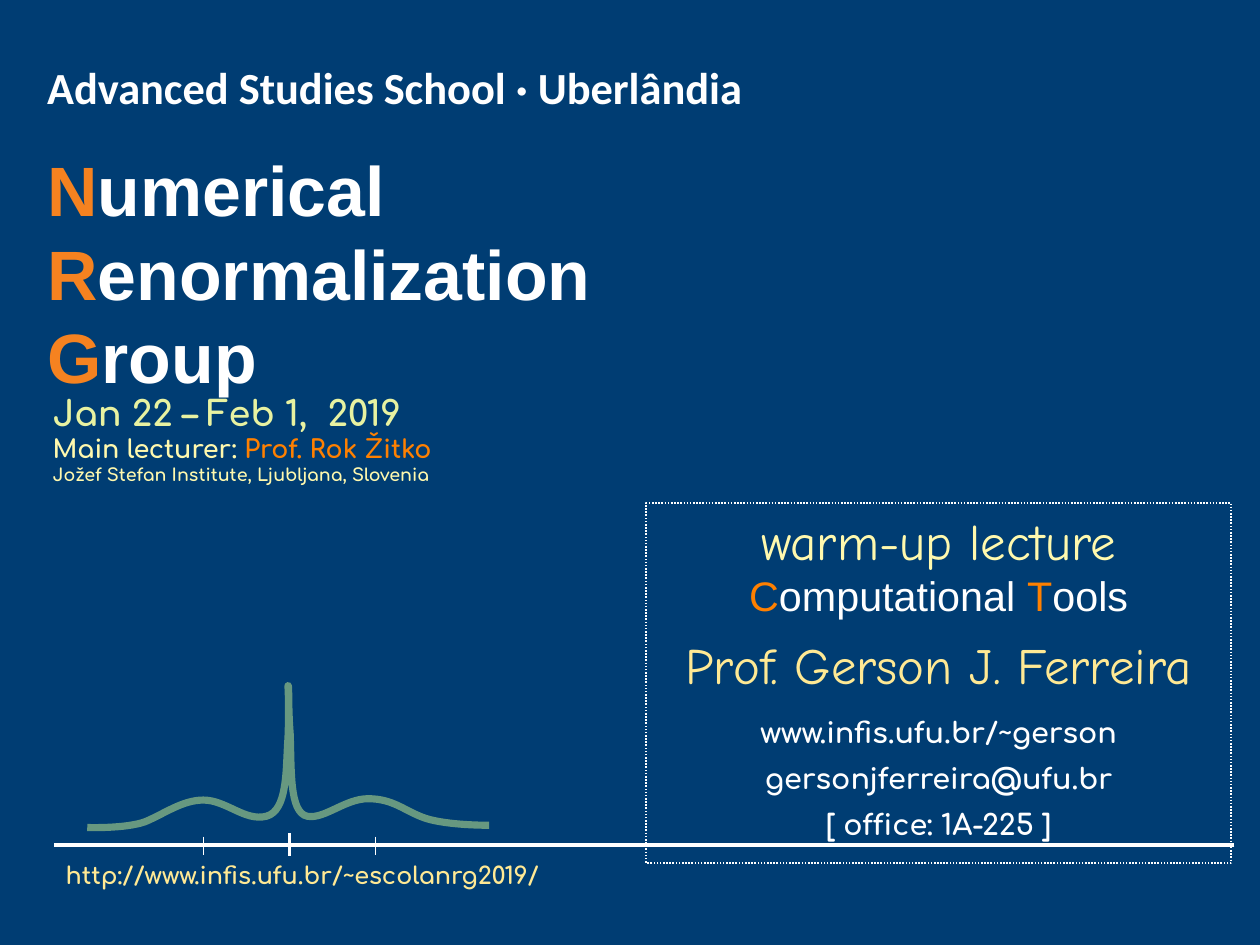
import pptx
import pptx.util
import pptx.dml.color
import pptx.enum.dml
import pptx.enum.shapes
import pptx.enum.text
import lxml.etree

Cm, Pt = pptx.util.Cm, pptx.util.Pt
ALIGN, ANCHOR = pptx.enum.text.PP_ALIGN, pptx.enum.text.MSO_ANCHOR
A = "{http://schemas.openxmlformats.org/drawingml/2006/main}"
WHITE, ORANGE, TITLE_ORANGE = "FFFFFF", "FF8000", "F58220"
YELLOW, CREAM, LIME, GREEN = "FFE994", "FFF9AE", "E8F2A1", "ADD58A"


def rgb(color):
    return pptx.dml.color.RGBColor.from_string(color)


def write(tf, lines, align=ALIGN.LEFT, wrap=True):
    """Each line is (size, font, bold, [(text, color), ...])."""
    tf.word_wrap = wrap
    tf.auto_size = pptx.enum.text.MSO_AUTO_SIZE.NONE
    for i, (size, font, bold, runs) in enumerate(lines):
        p = tf.paragraphs[0] if i == 0 else tf.add_paragraph()
        p.alignment = align
        for text, color in runs:
            r = p.add_run()
            r.text = text
            r.font.size, r.font.name, r.font.bold = Pt(size), font, bold
            r.font.color.rgb = rgb(color)


prs = pptx.Presentation()
prs.slide_width, prs.slide_height = Cm(28), Cm(21)
s = prs.slides.add_slide(prs.slide_layouts[5])
s.background.fill.solid()
s.background.fill.fore_color.rgb = rgb("003D73")

# Title
title = s.shapes.title
title.left, title.top, title.width, title.height = Cm(0.8), Cm(3.13), Cm(22.53), Cm(6.6)
title.text_frame.vertical_anchor = ANCHOR.TOP
write(title.text_frame,
      [(44, "Arial", True, [(word[0], TITLE_ORANGE), (word[1:], WHITE)])
       for word in ("Numerical", "Renormalization", "Group")], wrap=False)

# School, dates and web address
text_boxes = [
    (0.8, 1.21, 21.77, 1.7,
     [(28, "Calibri", True, [("Advanced Studies School · Uberlândia", WHITE)])]),
    (1.21, 19, 11.02, 1.12,
     [(15, "Comfortaa", True, [("http://www.infis.ufu.br/~escolanrg2019/", YELLOW)])]),
    (0.92, 8.57, 9.6, 3.28,
     [(22, "Comfortaa", True, [("Jan 22 – Feb 1,  2019", LIME)]),
      (16, "Comfortaa", True, [("Main lecturer: ", CREAM), ("Prof. Rok Žitko", ORANGE)]),
      (11, "Comfortaa", True, [("Jožef Stefan Institute, Ljubljana, Slovenia", CREAM)])]),
]
for x, y, w, h, lines in text_boxes:
    sp = s.shapes.add_textbox(Cm(x), Cm(y), Cm(w), Cm(h))
    write(sp.text_frame, lines)

# Spectral curve: Bezier segments (two controls, end point) in cm
start = (1.94, 18.39)
segments = [
    ((1.94, 18.39), (2.79, 18.42), (3.23, 18.26)),
    ((3.66, 18.08), (4.06, 17.78), (4.52, 17.78)),
    ((5.03, 17.78), (5.44, 18.26), (5.92, 18.14)),
    ((6.4, 18.01), (6.35, 17.09), (6.4, 16.41)),
    ((6.43, 15.7), (6.4, 15.27), (6.4, 15.24)),
    ((6.43, 15.16), (6.4, 15.7), (6.45, 16.31)),
    ((6.48, 17.12), (6.43, 18.06), (6.83, 18.14)),
    ((7.21, 18.21), (7.67, 17.75), (8.18, 17.75)),
    ((8.76, 17.75), (8.99, 18.03), (9.47, 18.19)),
    ((9.96, 18.34), (10.77, 18.34), (10.87, 18.34)),
]
builder = s.shapes.build_freeform(Cm(start[0]), Cm(start[1]))
builder.add_line_segments([(Cm(x), Cm(y)) for _, _, (x, y) in segments], close=False)
curve = builder.convert_to_shape()
curve.shadow.inherit = False
curve.fill.background()
curve.line.width = Pt(4.5)
curve.line.color.rgb = rgb(GREEN)
ln = curve.line._get_or_add_ln()
lxml.etree.SubElement(ln.find(f"{A}solidFill/{A}srgbClr"), f"{A}alpha", val="60000")
lxml.etree.SubElement(ln, f"{A}round")

# Turn the straight segments into Bezier ones
for straight, segment in zip(list(curve._element.iter(f"{A}lnTo")), segments):
    bezier = lxml.etree.Element(f"{A}cubicBezTo")
    for x, y in segment:
        lxml.etree.SubElement(bezier, f"{A}pt", x=str(Cm(x) - curve.left), y=str(Cm(y) - curve.top))
    straight.getparent().replace(straight, bezier)

# Axis and its ticks
axis_lines = [
    (6.43, 18.52, 6.43, 19.02, 1.5),
    (27.43, 18.78, 1.19, 18.78, 2.3),
    (8.34, 18.59, 8.34, 19, 0.1),
    (4.52, 18.59, 4.52, 19, 0.1),
]
for x1, y1, x2, y2, width in axis_lines:
    line = s.shapes.add_connector(pptx.enum.shapes.MSO_CONNECTOR.STRAIGHT,
                                  Cm(x1), Cm(y1), Cm(x2), Cm(y2))
    line.line.color.rgb = rgb(WHITE)
    line.line.width = Pt(width)
    lxml.etree.SubElement(line._element.spPr, f"{A}effectLst")

# Warm-up lecture box
box = s.shapes.add_shape(pptx.enum.shapes.MSO_SHAPE.RECTANGLE, Cm(14.36), Cm(11.18), Cm(13), Cm(8))
box.shadow.inherit = False
box.fill.background()
box.line.color.rgb = rgb(WHITE)
box.line.width = Pt(1)
box.line.dash_style = pptx.enum.dml.MSO_LINE.ROUND_DOT
tf = box.text_frame
tf.vertical_anchor = ANCHOR.MIDDLE
tf.margin_bottom = Cm(0.48)
contacts = ["www.infis.ufu.br/~gerson", "gersonjferreira@ufu.br", "[ office: 1A-225 ]"]
write(tf, [
    (32, "Comic Neue", False, [("warm-up lecture", CREAM)]),
    (26, "Arial", False, [("C", ORANGE), ("omputational ", WHITE), ("T", ORANGE), ("ools", WHITE)]),
    (32, "Comic Neue", False, [("Prof. Gerson J. Ferreira", YELLOW)]),
] + [(18, "Comfortaa", True, [(text, WHITE)]) for text in contacts], ALIGN.CENTER)
tf.paragraphs[2].space_before = Pt(8.7)
tf.paragraphs[2].space_after = Pt(12.9)
for p in tf.paragraphs[3:]:
    p.space_after = Pt(7.2)

prs.save("out.pptx")
